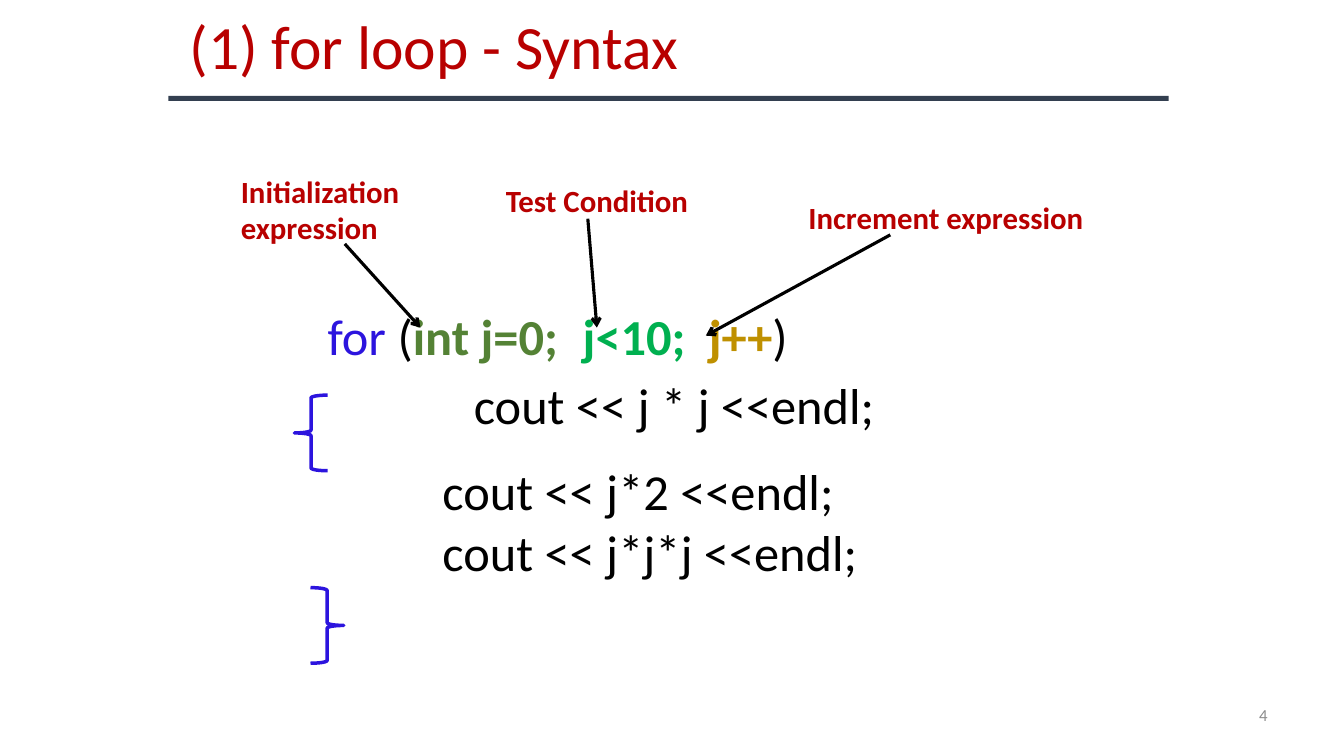
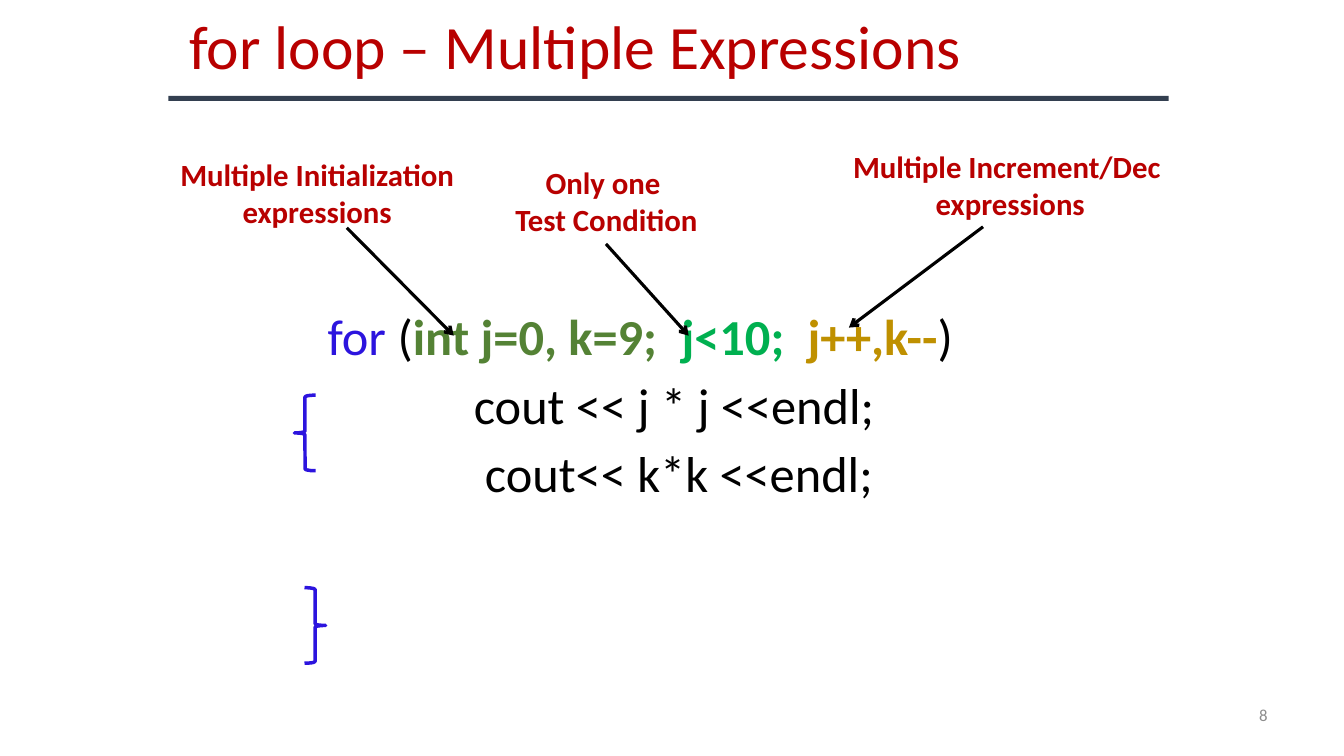
"""Builds two slides that explain the parts of a for loop."""
from dataclasses import dataclass
from typing import NamedTuple, Optional

from lxml.etree import SubElement
from pptx import Presentation
from pptx.dml.color import RGBColor
from pptx.enum.shapes import MSO_CONNECTOR as Connector, MSO_SHAPE as Preset
from pptx.enum.text import MSO_ANCHOR as Anchor, PP_ALIGN as Align
from pptx.oxml.ns import qn
from pptx.util import Inches, Pt

FONT = "Calibri"
RED = "B80000"
BLUE = "2C14DE"
BLACK = "000000"
GREY = "8C8C8C"
NAVY = "333F50"
OLIVE = "548235"
GREEN = "00B050"
GOLD = "BF9000"

CODE_SIZE = 36
CODE_LEFT, CODE_TOP = 3.25, 3.1
BRACE_HEIGHT = 0.75
TEST_TO_STEP = 1.25


class Box(NamedTuple):
    left: float
    top: float
    width: float
    height: float


class Point(NamedTuple):
    x: float
    y: float


@dataclass(frozen=True)
class Callout:
    lines: tuple[str, ...]
    box: Box
    start: Point
    end: Point


@dataclass(frozen=True)
class CodeLine:
    text: str
    indent: float


@dataclass(frozen=True)
class LoopSlide:
    title: str
    number: int
    initialization: str
    test: str
    step: str
    test_stop: float
    body: tuple[CodeLine, ...]
    callouts: tuple[Callout, ...]
    callout_align: Align
    brace_width: float
    closing_brace_left: float
    extra_lines: tuple[str, ...] = ()


SQUARES = CodeLine("cout << j * j <<endl;", 1.45)

LOOP_SLIDES = (
    LoopSlide(
        title="(1) for loop - Syntax",
        number=4,
        initialization="int j=0;",
        test="j<10;",
        step="j++",
        test_stop=2.53,
        body=(SQUARES,),
        callouts=(
            Callout(("Initialization", "expression"), Box(2.29, 1.66, 1.79, 0.84),
                    Point(3.42, 2.42), Point(4.17, 3.25)),
            Callout(("Test Condition",), Box(4.92, 1.75, 2.03, 0.47),
                    Point(5.83, 2.17), Point(5.92, 3.25)),
            Callout(("Increment expression",), Box(7.92, 1.92, 2.96, 0.47),
                    Point(8.83, 2.33), Point(7, 3.33)),
        ),
        callout_align=Align.LEFT,
        brace_width=0.33,
        closing_brace_left=3.08,
        extra_lines=("cout << j*2 <<endl;", "cout << j*j*j <<endl;"),
    ),
    LoopSlide(
        title="for loop – Multiple Expressions",
        number=8,
        initialization="int j=0, k=9;",
        test="j<10;",
        step="j++,k--",
        test_stop=3.51,
        body=(SQUARES, CodeLine("cout<< k*k <<endl;", 1.56)),
        callouts=(
            Callout(("Multiple Initialization", "expressions"), Box(1.67, 1.5, 2.95, 0.84),
                    Point(3.44, 2.26), Point(4.5, 3.33)),
            Callout(("Only one ", "Test Condition"), Box(5, 1.58, 2.03, 0.84),
                    Point(6.01, 2.42), Point(6.83, 3.33)),
            Callout(("Multiple Increment/Dec ", "expressions"), Box(8.34, 1.42, 3.36, 0.84),
                    Point(9.75, 2.25), Point(8.42, 3.25)),
        ),
        callout_align=Align.CENTER,
        brace_width=0.21,
        closing_brace_left=3.02,
    ),
)


def color(value: str) -> RGBColor:
    return RGBColor.from_string(value)


def inches(values: tuple[float, ...]) -> list[Inches]:
    return [Inches(value) for value in values]


def style(font, size: float, font_color: Optional[str], bold: bool = False) -> None:
    font.name, font.size, font.bold = FONT, Pt(size), bold
    if font_color:
        font.color.rgb = color(font_color)


def add_text(slide, box: Box, lines: tuple[str, ...], size: float, text_color: str,
             bold: bool = False, align: Align = Align.LEFT, anchor: Anchor = Anchor.TOP,
             wrap: bool = True, spacing: float = 1.0) -> None:
    frame = slide.shapes.add_textbox(*inches(box)).text_frame
    frame.word_wrap = wrap
    frame.vertical_anchor = anchor
    for index, line in enumerate(lines):
        paragraph = frame.add_paragraph() if index else frame.paragraphs[0]
        paragraph.text = line
        paragraph.alignment = align
        paragraph.line_spacing = spacing
        style(paragraph.font, size, text_color, bold)


def add_shape(slide, preset: Preset, box: Box, fill: Optional[str] = None,
              line: Optional[str] = None) -> None:
    shape = slide.shapes.add_shape(preset, *inches(box))
    shape.shadow.inherit = False
    if fill:
        shape.fill.solid()
        shape.fill.fore_color.rgb = color(fill)
    else:
        shape.fill.background()
    if line:
        shape.line.color.rgb = color(line)
        shape.line.width = Pt(2.5)
    else:
        shape.line.fill.background()


def add_arrow(slide, start: Point, end: Point) -> None:
    arrow = slide.shapes.add_connector(Connector.STRAIGHT, *inches(start + end))
    arrow.line.color.rgb = color(BLACK)
    arrow.line.width = Pt(2.25)
    SubElement(arrow.line._get_or_add_ln(), qn("a:tailEnd"), type="arrow")
    SubElement(arrow._element.spPr, qn("a:effectLst"))


def add_callout(slide, callout: Callout, align: Align) -> None:
    add_arrow(slide, callout.start, callout.end)
    add_text(slide, callout.box, callout.lines, 22, RED, bold=True, align=align, wrap=False)


def set_indent_and_tabs(paragraph, indent: float, stops: tuple[float, ...] = ()) -> None:
    properties = paragraph._p.get_or_add_pPr()
    properties.set("marL", str(Inches(indent)))
    if stops:
        tabs = SubElement(properties, qn("a:tabLst"))
        for stop in stops:
            SubElement(tabs, qn("a:tab"), pos=str(Inches(stop)), algn="l")


def add_code(slide, loop: LoopSlide) -> None:
    frame = slide.shapes.add_textbox(*inches(Box(CODE_LEFT, CODE_TOP, 8.3, 2.1))).text_frame
    frame.word_wrap = True
    frame.margin_left = frame.margin_top = frame.margin_right = frame.margin_bottom = 0
    header = frame.paragraphs[0]
    header.line_spacing = 0.9
    set_indent_and_tabs(header, 0, (loop.test_stop, loop.test_stop + TEST_TO_STEP))
    for text, text_color, bold in (
        ("for ", BLUE, False),
        ("(", BLACK, False),
        (loop.initialization + "\t", OLIVE, True),
        (loop.test + "\t", GREEN, True),
        (loop.step, GOLD, True),
        (")", BLACK, False),
    ):
        run = header.add_run()
        run.text = text
        style(run.font, CODE_SIZE, text_color, bold)
    for line in loop.body:
        paragraph = frame.add_paragraph()
        paragraph.text = line.text
        paragraph.line_spacing = 0.9
        paragraph.space_before = Pt(10)
        set_indent_and_tabs(paragraph, line.indent)
        style(paragraph.font, CODE_SIZE, BLACK)


def add_frame(slide, title: str, number: int) -> None:
    add_text(slide, Box(9.56, 6.83, 3.11, 0.52), (str(number),), 12, GREY,
             align=Align.RIGHT, anchor=Anchor.MIDDLE)
    add_text(slide, Box(1.78, 0.1, 9.23, 0.78), (title,), 44, RED,
             anchor=Anchor.MIDDLE, spacing=0.9)
    add_shape(slide, Preset.RECTANGLE, Box(1.67, 0.95, 9.92, 0.05), fill=NAVY)


def add_loop_slide(presentation, loop: LoopSlide) -> None:
    slide = presentation.slides.add_slide(presentation.slide_layouts[6])
    add_frame(slide, loop.title, loop.number)
    add_code(slide, loop)
    for callout in loop.callouts:
        add_callout(slide, callout, loop.callout_align)
    if loop.extra_lines:
        add_text(slide, Box(4.29, 4.52, 4.35, 1.31), loop.extra_lines, CODE_SIZE, BLACK,
                 wrap=False)
    for preset, left, top in (
        (Preset.LEFT_BRACE, 2.92, 3.92),
        (Preset.RIGHT_BRACE, loop.closing_brace_left, 5.83),
    ):
        add_shape(slide, preset, Box(left, top, loop.brace_width, BRACE_HEIGHT), line=BLUE)


def main() -> None:
    presentation = Presentation()
    presentation.slide_width, presentation.slide_height = Inches(13.33), Inches(7.5)
    for loop in LOOP_SLIDES:
        add_loop_slide(presentation, loop)
    presentation.save("out.pptx")


if __name__ == "__main__":
    main()
